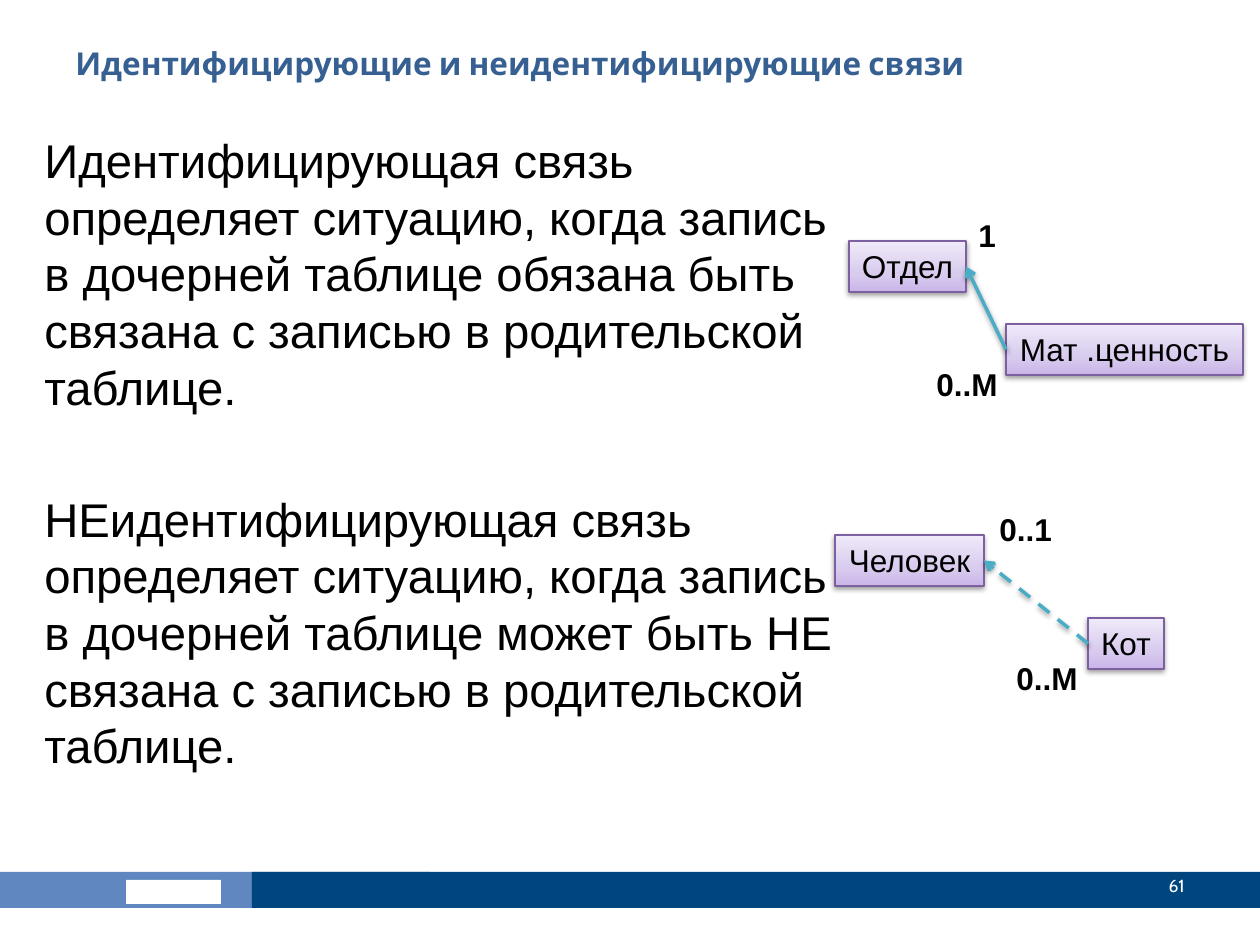
from dataclasses import dataclass

from lxml import etree
from pptx import Presentation
from pptx.dml.color import RGBColor
from pptx.enum.dml import MSO_LINE
from pptx.enum.shapes import MSO_CONNECTOR, MSO_SHAPE
from pptx.enum.text import MSO_ANCHOR, MSO_AUTO_SIZE, PP_ALIGN
from pptx.oxml import parse_xml
from pptx.oxml.ns import qn
from pptx.util import Emu, Pt

RECTANGLE = MSO_SHAPE.RECTANGLE
STRAIGHT = MSO_CONNECTOR.STRAIGHT
DASH = MSO_LINE.DASH
LEFT, CENTER, RIGHT = PP_ALIGN.LEFT, PP_ALIGN.CENTER, PP_ALIGN.RIGHT
TOP, MIDDLE = MSO_ANCHOR.TOP, MSO_ANCHOR.MIDDLE
FIT_SHAPE = MSO_AUTO_SIZE.SHAPE_TO_FIT_TEXT
LEFT_SIDE, RIGHT_SIDE = 1, 3
EMU_PER_PX = 914400 / 126
NAMESPACE = 'xmlns:a="http://schemas.openxmlformats.org/drawingml/2006/main"'


@dataclass(frozen=True)
class Theme:
    heading_font: str = "Cabin"
    body_font: str = "Arial"
    white: str = "FFFFFF"
    black: str = "000000"
    title: str = "376092"
    footer_light: str = "6087BF"
    footer_dark: str = "00467E"
    entity_line: str = "7D60A0"
    entity_stops: tuple = ((0, "C9B5E8"), (35, "D8CBEE"), (100, "F0EAF9"))
    link: str = "4BACC6"
    title_size: int = 18
    body_size: int = 27
    label_size: int = 18
    number_size: int = 10
    body_leading: float = 32.4
    body_gap: int = 43


@dataclass(frozen=True)
class Area:
    left: int
    top: int
    width: int
    height: int

    def emu(self) -> list:
        return [px(value) for value in (self.left, self.top, self.width, self.height)]


@dataclass(frozen=True)
class Style:
    font: str
    size: int
    color: str
    bold: bool = False


@dataclass(frozen=True)
class Label:
    text: str
    area: Area


@dataclass(frozen=True)
class Relation:
    parent: Label
    child: Label
    parent_count: Label
    child_count: Label
    dashed: bool


THEME = Theme()
TITLE_STYLE = Style(THEME.heading_font, THEME.title_size, THEME.title, True)
NUMBER_STYLE = Style(THEME.heading_font, THEME.number_size, THEME.white)
BODY_STYLE = Style(THEME.body_font, THEME.body_size, THEME.black)
ENTITY_STYLE = Style(THEME.body_font, THEME.label_size, THEME.black)
COUNT_STYLE = Style(THEME.body_font, THEME.label_size, THEME.black, True)

DEFINITIONS = [
    "Идентифицирующая связь определяет ситуацию, когда запись в дочерней "
    "таблице обязана быть связана с записью в родительской таблице.",
    "НЕидентифицирующая связь определяет ситуацию, когда запись в дочерней "
    "таблице может быть НЕ связана с записью в родительской таблице.",
]

RELATIONS = [
    Relation(
        Label("Отдел", Area(849, 241, 117, 51)),
        Label("Мат .ценность", Area(1006, 324, 237, 51)),
        Label("1", Area(966, 210, 43, 51)),
        Label("0..M", Area(924, 359, 87, 51)),
        False,
    ),
    Relation(
        Label("Человек", Area(835, 535, 149, 51)),
        Label("Кот", Area(1088, 618, 76, 51)),
        Label("0..1", Area(987, 504, 78, 51)),
        Label("0..M", Area(1004, 653, 87, 51)),
        True,
    ),
]


def px(value: int) -> Emu:
    return Emu(round(value * EMU_PER_PX))


def rgb(color: str) -> RGBColor:
    return RGBColor.from_string(color)


def write(box, lines: list, style: Style, align=LEFT, anchor=TOP, wrap=True) -> None:
    frame = box.text_frame
    frame.text = "\n".join(lines)
    frame.word_wrap = wrap
    frame.vertical_anchor = anchor
    if not wrap:
        frame.auto_size = FIT_SHAPE
    for para in frame.paragraphs:
        para.alignment = align
        for span in para.runs:
            span.font.name = style.font
            span.font.size = Pt(style.size)
            span.font.bold = style.bold
            span.font.color.rgb = rgb(style.color)


def add_text(page, label: Label, style: Style, align=LEFT, anchor=TOP, wrap=True) -> None:
    box = page.shapes.add_textbox(*label.area.emu())
    write(box, [label.text], style, align, anchor, wrap)


def add_bar(page, area: Area, color: str) -> None:
    bar = page.shapes.add_shape(RECTANGLE, *area.emu())
    bar.shadow.inherit = False
    bar.fill.solid()
    bar.fill.fore_color.rgb = rgb(color)
    bar.line.fill.background()


def add_shadow(shape) -> None:
    properties = shape._element.spPr
    effects = etree.SubElement(properties, qn("a:effectLst"))
    effects.append(parse_xml(
        f'<a:outerShdw {NAMESPACE} blurRad="{Pt(3.1)}" dist="{Pt(1.6)}" dir="5400000" '
        f'rotWithShape="0"><a:srgbClr val="{THEME.black}"><a:alpha val="38000"/>'
        "</a:srgbClr></a:outerShdw>"
    ))


def add_entity(page, label: Label):
    box = page.shapes.add_shape(RECTANGLE, *label.area.emu())
    stops = "".join(
        f'<a:gs pos="{position * 1000}"><a:srgbClr val="{color}"/></a:gs>'
        for position, color in THEME.entity_stops
    )
    box._element.spPr.append(parse_xml(
        f'<a:gradFill {NAMESPACE} rotWithShape="1"><a:gsLst>{stops}</a:gsLst>'
        '<a:lin ang="16200000" scaled="0"/></a:gradFill>'
    ))
    box.line.color.rgb = rgb(THEME.entity_line)
    box.line.width = Pt(0.75)
    add_shadow(box)
    write(box, [label.text], ENTITY_STYLE, CENTER, wrap=False)
    return box


def add_relation(page, relation: Relation) -> None:
    parent = add_entity(page, relation.parent)
    child = add_entity(page, relation.child)
    link = page.shapes.add_connector(STRAIGHT, 0, 0, 0, 0)
    link.begin_connect(child, LEFT_SIDE)
    link.end_connect(parent, RIGHT_SIDE)
    link.line.color.rgb = rgb(THEME.link)
    link.line.width = Pt(2)
    if relation.dashed:
        link.line.dash_style = DASH
    etree.SubElement(link.line._get_or_add_ln(), qn("a:tailEnd"), type="arrow")
    add_shadow(link)
    for count in (relation.child_count, relation.parent_count):
        add_text(page, count, COUNT_STYLE, wrap=False)


def add_definitions(page) -> None:
    box = page.shapes.add_textbox(*Area(32, 125, 829, 726).emu())
    box.fill.solid()
    box.fill.fore_color.rgb = rgb(THEME.white)
    write(box, DEFINITIONS, BODY_STYLE)
    for para in box.text_frame.paragraphs:
        para.line_spacing = Pt(THEME.body_leading)
    para.space_before = Pt(THEME.body_gap)


def main() -> None:
    deck = Presentation()
    deck.slide_width, deck.slide_height = px(1260), px(945)
    page = deck.slides.add_slide(deck.slide_layouts[6])
    add_bar(page, Area(0, 872, 430, 36), THEME.footer_light)
    add_bar(page, Area(126, 880, 95, 24), THEME.white)
    add_bar(page, Area(252, 872, 1008, 36), THEME.footer_dark)
    title = Label("Идентифицирующие и неидентифицирующие связи", Area(63, 38, 1134, 98))
    add_text(page, title, TITLE_STYLE)
    add_text(page, Label("61", Area(1061, 861, 136, 50)), NUMBER_STYLE, RIGHT, MIDDLE)
    add_definitions(page)
    for relation in RELATIONS:
        add_relation(page, relation)
    deck.save("out.pptx")


if __name__ == "__main__":
    main()
